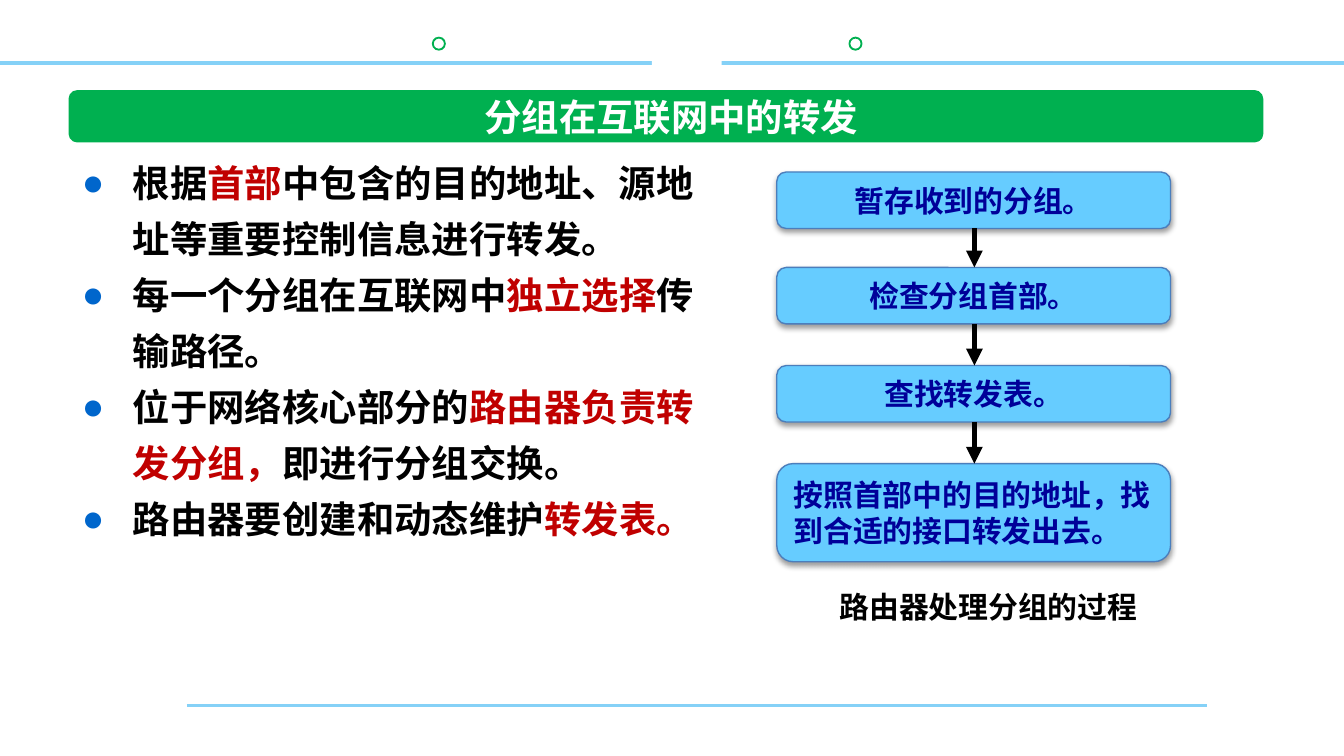
from lxml.etree import SubElement
from pptx import Presentation
from pptx.dml.color import RGBColor
from pptx.enum.shapes import MSO_CONNECTOR, MSO_SHAPE
from pptx.enum.text import MSO_ANCHOR, PP_ALIGN
from pptx.oxml import parse_xml
from pptx.oxml.ns import nsdecls, qn
from pptx.util import Inches, Pt

FONT = "Noto Sans CJK SC"
BLACK = RGBColor(0x00, 0x00, 0x00)
WHITE = RGBColor(0xFF, 0xFF, 0xFF)
GREEN = RGBColor(0x00, 0xB0, 0x50)
RED = RGBColor(0xC0, 0x00, 0x00)
NAVY = RGBColor(0x00, 0x00, 0x99)
SKY = RGBColor(0x66, 0xCC, 0xFF)
EDGE = RGBColor(0x4B, 0x7E, 0xBC)
RULE = RGBColor(0x85, 0xD1, 0xF7)

# A 16:9 slide
prs = Presentation()
prs.slide_width = Inches(10)
prs.slide_height = Inches(10) * 9 // 16
slide = prs.slides.add_slide(prs.slide_layouts[5])
shapes = slide.shapes


def add_run(para, text, size, color):
    run = para.add_run()
    run.text = text
    font = run.font
    font.name, font.size, font.bold = FONT, Pt(size), True
    font.color.rgb = color
    SubElement(font._element, qn("a:ea"), typeface=FONT)


def add_line(x1, y1, x2, y2, color, width):
    line = shapes.add_connector(
        MSO_CONNECTOR.STRAIGHT, Inches(x1), Inches(y1), Inches(x2), Inches(y2))
    line.line.color.rgb, line.line.width = color, Pt(width)
    SubElement(line._element.spPr, qn("a:effectLst"))
    return line


# Rings and rules of the frame
for x in (3.22, 6.32):
    ring = shapes.add_shape(MSO_SHAPE.OVAL, Inches(x), Inches(0.28), Inches(0.09), Inches(0.09))
    ring.shadow.inherit = False
    ring.fill.solid()
    ring.fill.fore_color.rgb = WHITE
    ring.line.color.rgb, ring.line.width = GREEN, Pt(1)
add_line(1.39, 5.25, 8.98, 5.25, RULE, 1.5)
add_line(0, 0.47, 10, 0.47, RULE, 2)

# Gap in the top rule, and the title bar
for kind, x, y, w, h, color in (
    (MSO_SHAPE.RECTANGLE, 4.85, 0.14, 0.52, 0.51, WHITE),
    (MSO_SHAPE.ROUNDED_RECTANGLE, 0.51, 0.67, 8.89, 0.39, GREEN),
):
    block = shapes.add_shape(kind, Inches(x), Inches(y), Inches(w), Inches(h))
    block.shadow.inherit = False
    block.fill.solid()
    block.fill.fore_color.rgb = color
    block.line.fill.background()

# Title, brought in front of its bar
title = shapes.title
title.left, title.top = Inches(1.37), Inches(0.67)
title.width, title.height = Inches(7.25), Inches(0.39)
title.element.getparent().append(title.element)
frame = title.text_frame
frame.vertical_anchor = MSO_ANCHOR.MIDDLE
frame.paragraphs[0].alignment = PP_ALIGN.CENTER
add_run(frame.paragraphs[0], "分组在互联网中的转发", 20, WHITE)

# Bullet list: runs alternate black and red
points = (
    ("根据", "首部", "中包含的目的地址、源地址等重要控制信息进行转发。"),
    ("每一个分组在互联网中", "独立选择", "传输路径。"),
    ("位于网络核心部分的", "路由器负责转发分组，", "即进行分组交换。"),
    ("路由器要创建和动态维护", "转发表。"),
)
body = shapes.add_textbox(Inches(0.51), Inches(1.06), Inches(4.82), Inches(3.47))
frame = body.text_frame
frame.word_wrap = True
for i, parts in enumerate(points):
    para = frame.add_paragraph() if i else frame.paragraphs[0]
    para.line_spacing = Pt(30)
    props = para._p.get_or_add_pPr()
    props.set("marL", str(Inches(0.38)))
    props.set("indent", str(Inches(-0.38)))
    tint = SubElement(props, qn("a:buClr"))
    SubElement(tint, qn("a:srgbClr"), val="0066CC")
    SubElement(props, qn("a:buFont"), typeface="Arial")
    SubElement(props, qn("a:buChar"), char="●")
    for j, text in enumerate(parts):
        add_run(para, text, 20, RED if j % 2 else BLACK)

# Flow of steps
steps = (
    ("暂存收到的分组。", 1.28, 0.42, PP_ALIGN.CENTER),
    ("检查分组首部。", 1.99, 0.42, PP_ALIGN.CENTER),
    ("查找转发表。", 2.72, 0.42, PP_ALIGN.CENTER),
    ("按照首部中的目的地址，找到合适的接口转发出去。", 3.45, 0.73, PP_ALIGN.LEFT),
)
for text, y, high, align in steps:
    box = shapes.add_shape(
        MSO_SHAPE.ROUNDED_RECTANGLE, Inches(5.78), Inches(y), Inches(2.93), Inches(high))
    box.fill.solid()
    box.fill.fore_color.rgb = SKY
    box.line.color.rgb, box.line.width = EDGE, Pt(0.75)
    box.element.spPr.append(parse_xml(
        f'<a:effectLst {nsdecls("a")}>'
        f'<a:outerShdw blurRad="{Pt(3.1)}" dist="{Pt(1.6)}" dir="5400000" rotWithShape="0">'
        '<a:srgbClr val="000000"><a:alpha val="38000"/></a:srgbClr>'
        '</a:outerShdw></a:effectLst>'))
    frame = box.text_frame
    frame.word_wrap = True
    frame.margin_left = frame.margin_right = Inches(0.09)
    frame.vertical_anchor = MSO_ANCHOR.MIDDLE
    frame.paragraphs[0].alignment = align
    add_run(frame.paragraphs[0], text, 16, NAVY)

# Arrows from each step to the next
for (_, y, high, _), (_, end, _, _) in zip(steps, steps[1:]):
    arrow = add_line(7.25, y + high, 7.25, end, BLACK, 3)
    SubElement(arrow.line._get_or_add_ln(), qn("a:tailEnd"), type="triangle")

# Caption
note = shapes.add_textbox(Inches(6.13), Inches(4.33), Inches(2.45), Inches(0.37))
frame = note.text_frame
frame.word_wrap = True
frame.paragraphs[0].alignment = PP_ALIGN.CENTER
add_run(frame.paragraphs[0], "路由器处理分组的过程", 16, BLACK)

prs.save("out.pptx")
